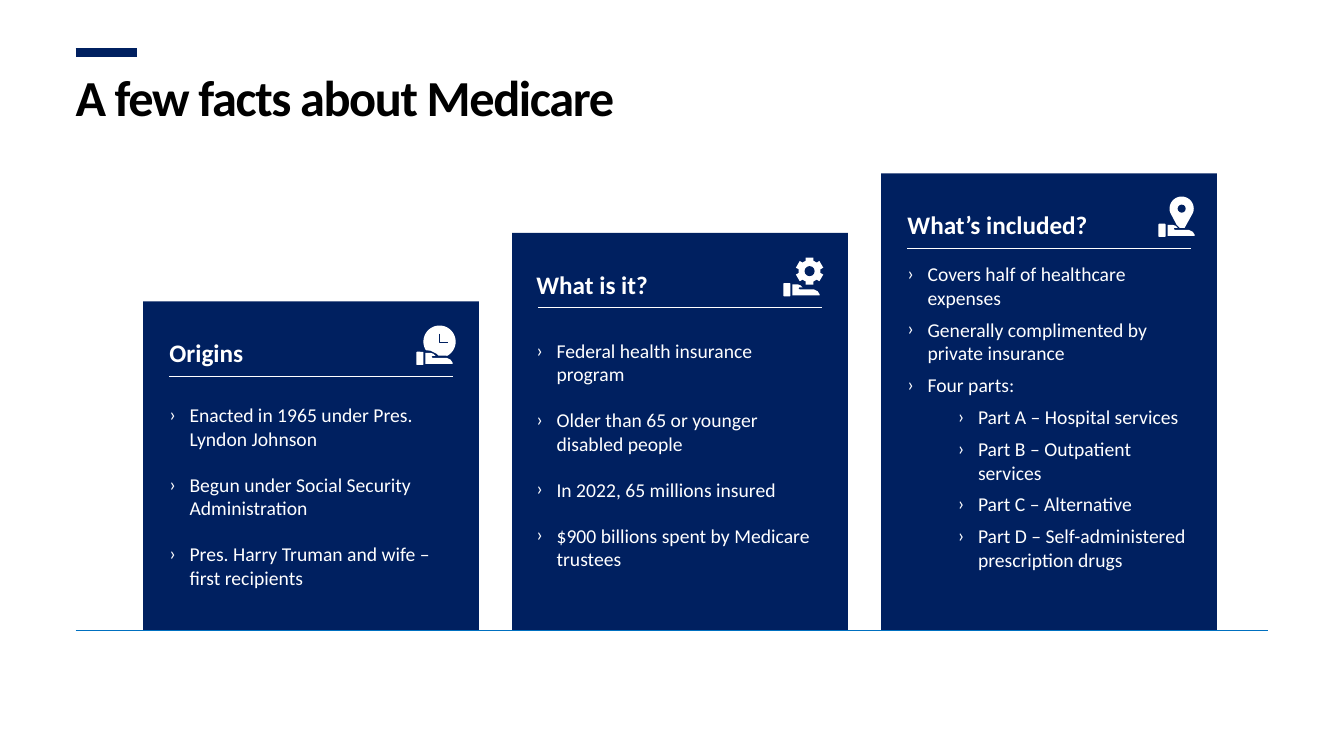
import math

import pptx
import pptx.util
import pptx.oxml.ns
from lxml import etree
from pptx.dml.color import RGBColor
from pptx.enum.shapes import MSO_CONNECTOR, MSO_SHAPE
from pptx.util import Inches, Pt

COLORS = {"navy": "002060", "blue": "0070C0", "white": "FFFFFF", "black": "000000"}
FONT = "Calibri"
MARGIN, CONTENT_WIDTH, BASELINE = 0.75, 11.83, 6.25
CARD_LEFT, CARD_WIDTH, CARD_STEP = 1.42, 3.33, 3.66

# Each bullet is (level, text, points of space after)
CARDS = [
    {"heading": "Origins", "icon": "clock", "top": 2.99, "heading_width": 0.98,
     "text_x": 0.26, "icon_x": 2.71, "body_y": 0.89, "body_height": 3.02,
     "bullets": [(0, "Enacted in 1965 under Pres. Lyndon Johnson", 16),
                 (0, "Begun under Social Security Administration", 16),
                 (0, "Pres. Harry Truman and wife – first recipients", 16)]},
    {"heading": "What is it?", "icon": "gear", "top": 2.31, "heading_width": 1.38,
     "text_x": 0.24, "icon_x": 2.69, "body_y": 0.93, "body_height": 3.97,
     "bullets": [(0, "Federal health insurance program", 16),
                 (0, "Older than 65 or younger disabled people", 16),
                 (0, "In 2022, 65 millions insured", 16),
                 (0, "$900 billions spent by Medicare trustees", 18)]},
    {"heading": "What’s included?", "icon": "pin", "top": 1.72, "heading_width": 2.29,
     "text_x": 0.26, "icon_x": 2.75, "body_y": 0.76, "body_height": 4.13,
     "bullets": [(0, "Covers half of healthcare expenses", 6),
                 (0, "Generally complimented by private insurance", 6),
                 (0, "Four parts:", 6),
                 (1, "Part A – Hospital services", 6),
                 (1, "Part B – Outpatient services", 6),
                 (1, "Part C – Alternative", 6),
                 (1, "Part D – Self-administered prescription drugs", 6)]},
]

PALM = [(0.09, 0.01), (0.14, 0.01), (0.17, 0.02), (0.19, 0.04), (0.16, 0.04),
        (0.15, 0.05), (0.16, 0.06), (0.3, 0.06), (0.34, 0.08), (0.36, 0.11),
        (0.36, 0.12), (0.09, 0.12)]


def rgb(name):
    return RGBColor.from_string(COLORS[name])


def paint(shape, color):
    shape.shadow.inherit = False
    shape.fill.solid()
    shape.fill.fore_color.rgb = rgb(color)
    shape.line.fill.background()


def add_preset(slide, kind, left, top, width, height, color):
    shape = slide.shapes.add_shape(
        kind, Inches(left), Inches(top), Inches(width), Inches(height))
    paint(shape, color)
    return shape


def add_rule(slide, left, top, width, color, weight):
    rule = slide.shapes.add_connector(
        MSO_CONNECTOR.STRAIGHT, Inches(left), Inches(top), Inches(left + width), Inches(top))
    rule.line.color.rgb = rgb(color)
    rule.line.width = Pt(weight)
    etree.SubElement(rule.element.spPr, pptx.oxml.ns.qn("a:effectLst"))


def add_outline(slide, left, top, points, closed=True):
    """Draw a freeform whose points are inches from (left, top)."""
    corners = [(Inches(left + x), Inches(top + y)) for x, y in points]
    builder = slide.shapes.build_freeform(*corners[0], scale=1.0)
    builder.add_line_segments(corners[1:], close=closed)
    outline = builder.convert_to_shape()
    paint(outline, "white")
    return outline


def add_text_box(slide, left, top, width, height, inset):
    box = slide.shapes.add_textbox(Inches(left), Inches(top), Inches(width), Inches(height))
    frame = box.text_frame
    frame.word_wrap = True
    frame.margin_left = frame.margin_right = 0
    frame.margin_top = frame.margin_bottom = Inches(inset)
    return frame


def style(para, size, color, bold=False):
    for span in para.runs:
        span.font.name = FONT
        span.font.size = Pt(size)
        span.font.bold = bold
        span.font.color.rgb = rgb(color)


def polar(center, radius, degrees):
    angle = math.radians(degrees)
    return center[0] + radius * math.cos(angle), center[1] + radius * math.sin(angle)


def arc(center, radius, start, end, steps=40):
    return [polar(center, radius, start + (end - start) * i / steps) for i in range(steps + 1)]


def add_hole(slide, left, top, center, radius):
    add_preset(slide, MSO_SHAPE.OVAL, left + center[0] - radius, top + center[1] - radius,
               2 * radius, 2 * radius, "navy")


def add_clock(slide, left, top):
    notch = [(0.14, -0.01), (0.2, 0.02), (0.22, 0.04), (0.3, 0.04)]
    add_outline(slide, left, top, arc((0.23, -0.1), 0.16, 63, -212) + notch)
    hands = add_outline(slide, left, top, [(0.23, -0.18), (0.23, -0.09), (0.31, -0.09)], False)
    hands.fill.background()
    hands.line.color.rgb = rgb("navy")
    hands.line.width = Pt(1)


def add_gear(slide, left, top):
    center = (0.26, -0.12)
    tooth = [(0.11, -20), (0.14, -16), (0.14, 16), (0.11, 20)]
    add_outline(slide, left, top, [polar(center, radius, middle + turn)
                                   for middle in range(-90, 270, 60) for radius, turn in tooth])
    add_hole(slide, left, top, center, 0.05)


def add_pin(slide, left, top):
    center = (0.23, -0.15)
    notch = [(0.18, 0.01), (0.21, 0.04), (0.26, 0.04)]
    add_outline(slide, left, top, arc(center, 0.12, 20, -200) + notch)
    add_hole(slide, left, top, center, 0.04)


ICONS = {"clock": add_clock, "gear": add_gear, "pin": add_pin}


def add_icon(slide, left, top, name):
    """Draw an open hand, with its cuff at (left, top), holding the named symbol."""
    ICONS[name](slide, left, top)
    add_outline(slide, left, top, PALM)
    cuff = add_preset(slide, MSO_SHAPE.ROUNDED_RECTANGLE, left, top, 0.07, 0.13, "white")
    cuff.adjustments[0] = 0.1


def add_bullets(frame, bullets):
    for index, (level, text, space_after) in enumerate(bullets):
        para = frame.paragraphs[0] if index == 0 else frame.add_paragraph()
        para.text = text
        para.level = level
        para.space_after = Pt(space_after)
        properties = para._p.get_or_add_pPr()
        properties.set("marL", str(Inches(0.2 + 0.5 * level)))
        properties.set("indent", str(Inches(-0.2)))
        etree.SubElement(properties, pptx.oxml.ns.qn("a:buFont"), typeface=FONT)
        etree.SubElement(properties, pptx.oxml.ns.qn("a:buChar"), char="›")
        style(para, 14, "white")


def add_card(slide, left, card):
    top, text_left = card["top"], left + card["text_x"]
    add_preset(slide, MSO_SHAPE.RECTANGLE, left, top, CARD_WIDTH, BASELINE - top, "navy")
    add_icon(slide, left + card["icon_x"], top + 0.5, card["icon"])
    heading = add_text_box(slide, text_left, top + 0.31, card["heading_width"], 0.4, 0.05)
    heading.text = card["heading"]
    style(heading.paragraphs[0], 18, "white", bold=True)
    add_rule(slide, left + 0.26, top + 0.74, 2.81, "white", 0.5)
    body = add_text_box(slide, text_left, top + card["body_y"], 2.81, card["body_height"], 0.12)
    add_bullets(body, card["bullets"])


def add_title(slide, text):
    add_rule(slide, MARGIN, 0.52, 0.61, "navy", 6)
    frame = add_text_box(slide, MARGIN, 0.68, CONTENT_WIDTH, 0.96, 0.05)
    frame.text = text
    para = frame.paragraphs[0]
    para.line_spacing = 0.9
    style(para, 36, "black", bold=True)
    para.runs[0].font._element.set("spc", "-100")


def main():
    deck = pptx.Presentation()
    deck.slide_width, deck.slide_height = Inches(13.33), Inches(7.5)
    slide = deck.slides.add_slide(deck.slide_layouts[6])
    add_title(slide, "A few facts about Medicare")
    add_rule(slide, MARGIN, BASELINE, CONTENT_WIDTH, "blue", 0.5)
    for index, card in enumerate(CARDS):
        add_card(slide, CARD_LEFT + index * CARD_STEP, card)
    deck.save("out.pptx")


if __name__ == "__main__":
    main()
